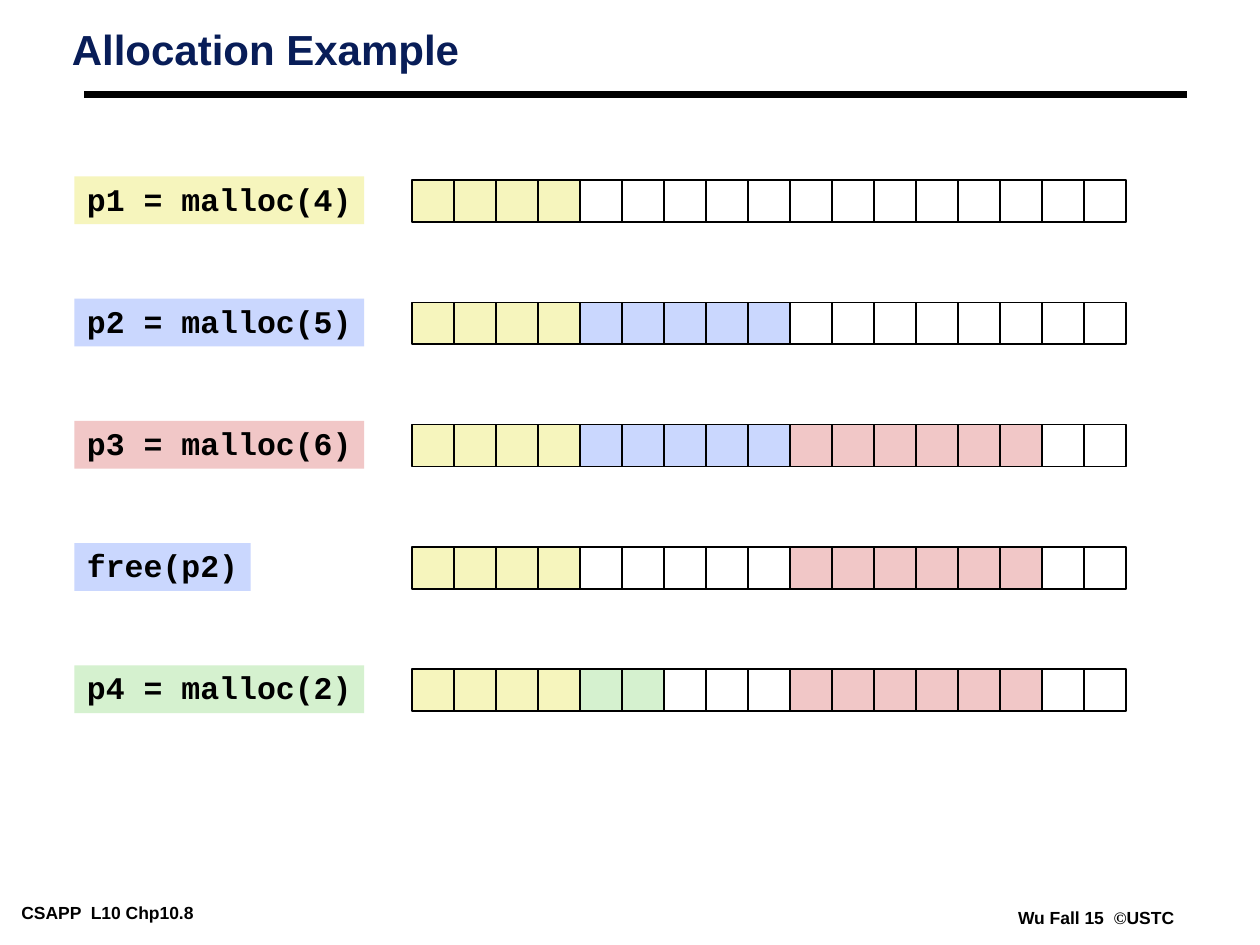
import dataclasses

import pptx
import pptx.dml.color
import pptx.enum.shapes
import pptx.enum.text
import pptx.oxml
import pptx.oxml.ns
import pptx.util

Inches = pptx.util.Inches
Pt = pptx.util.Pt
Align = pptx.enum.text.PP_ALIGN
RECT = pptx.enum.shapes.MSO_SHAPE.RECTANGLE


@dataclasses.dataclass(frozen=True)
class Theme:
    ink: str = "000000"
    navy: str = "081D58"
    free: str = "FFFFFF"
    p1: str = "F6F5BD"
    p2: str = "CAD7FE"
    p3: str = "F1C7C7"
    p4: str = "D5F1CF"
    sans: str = "Arial"
    serif: str = "Times New Roman"
    mono: str = "Courier New"
    head: float = 24
    code: float = 18
    foot: float = 10


THEME = Theme()
CELL = 1 / 3
LEFT, TOP, STEP = 3.27, 1.43, 0.97

# Each call, the colour of its label, and the heap after it as (colour, words).
CALLS = [
    ("p1 = malloc(4)", THEME.p1, [(THEME.p1, 4), (THEME.free, 13)]),
    ("p2 = malloc(5)", THEME.p2,
     [(THEME.p1, 4), (THEME.p2, 5), (THEME.free, 8)]),
    ("p3 = malloc(6)", THEME.p3,
     [(THEME.p1, 4), (THEME.p2, 5), (THEME.p3, 6), (THEME.free, 2)]),
    ("free(p2)", THEME.p2,
     [(THEME.p1, 4), (THEME.free, 5), (THEME.p3, 6), (THEME.free, 2)]),
    ("p4 = malloc(2)", THEME.p4,
     [(THEME.p1, 4), (THEME.p4, 2), (THEME.free, 3), (THEME.p3, 6),
      (THEME.free, 2)]),
]


def rgb(code):
    return pptx.dml.color.RGBColor.from_string(code)


def assign(item, values):
    for name, value in values.items():
        setattr(item, name, value)


def write(shape, runs, size, color, pad, wrap=False, **layout):
    """Fill a shape with one bold paragraph of (text, font) runs."""
    frame = shape.text_frame
    assign(frame, {
        "margin_left": Inches(pad[0]), "margin_right": Inches(pad[0]),
        "margin_top": Inches(pad[1]), "margin_bottom": Inches(pad[1]),
        "vertical_anchor": pptx.enum.text.MSO_ANCHOR.TOP,
        "auto_size": pptx.enum.text.MSO_AUTO_SIZE.SHAPE_TO_FIT_TEXT,
        "word_wrap": wrap,
    })
    para = frame.paragraphs[0]
    assign(para, {"alignment": Align.LEFT, **layout})
    for text, face in runs:
        run = para.add_run()
        run.text = text
        assign(run.font, {"name": face, "size": Pt(size), "bold": True})
        run.font.color.rgb = rgb(color)


def add_rect(shapes, box, fill, edge=None):
    rect = shapes.add_shape(RECT, *map(Inches, box))
    rect.shadow.inherit = False
    rect.fill.solid()
    rect.fill.fore_color.rgb = rgb(fill)
    if edge:
        rect.line.color.rgb = rgb(edge)
        rect.line.width = Pt(1)
    else:
        rect.line.fill.background()
    return rect


def add_title(slide, text):
    title = slide.shapes.title
    assign(title, {"left": Inches(0.5), "top": Inches(0.21),
                   "width": Inches(7.07), "height": Inches(0.63)})
    write(title, [(text, THEME.sans)], THEME.head, THEME.navy, (0.07, 0.03),
          wrap=True, line_spacing=0.87)


def add_rule(slide):
    kind = pptx.enum.shapes.MSO_CONNECTOR.STRAIGHT
    rule = slide.shapes.add_connector(
        kind, *map(Inches, (0.67, 0.75, 9.42, 0.75)))
    rule.line.color.rgb = rgb(THEME.ink)
    rule.line.width = Pt(4.5)
    props = rule._element.spPr
    props.append(pptx.oxml.parse_xml(
        "<a:effectLst %s/>" % pptx.oxml.ns.nsdecls("a")))


def add_foot(slide, box, runs):
    note = slide.shapes.add_textbox(*map(Inches, box))
    write(note, runs, THEME.foot, THEME.ink, (0.07, 0.03))


def add_heap(slide, top, blocks):
    group = slide.shapes.add_group_shape()
    fills = [fill for fill, count in blocks for _ in range(count)]
    for col, fill in enumerate(fills):
        box = (LEFT + col * CELL, top, CELL, CELL)
        add_rect(group.shapes, box, fill, THEME.ink)


def add_label(slide, top, text, fill):
    """Add a code label whose width follows its number of letters."""
    box = (0.59, top, 0.2 + 0.15 * len(text), 0.38)
    label = add_rect(slide.shapes, box, fill)
    write(label, [(text, THEME.mono)], THEME.code, THEME.ink, (0.1, 0.05),
          alignment=Align.CENTER, line_spacing=0.94)


def main():
    deck = pptx.Presentation()
    deck.slide_width, deck.slide_height = Inches(10), Inches(7.5)
    slide = deck.slides.add_slide(deck.slide_layouts[5])
    add_foot(slide, (0.1, 7.13, 2.1, 0.22),
             [("CSAPP  L10 Chp10.8", THEME.sans)])
    add_foot(slide, (8.01, 7.17, 1.38, 0.22),
             [("Wu Fall 15  ", THEME.sans), ("©", THEME.serif),
              ("USTC", THEME.sans)])
    add_rule(slide)
    add_title(slide, "Allocation Example")
    for row, (text, fill, blocks) in enumerate(CALLS):
        top = TOP + row * STEP
        add_heap(slide, top, blocks)
        add_label(slide, top - 0.03, text, fill)
    deck.save("out.pptx")


if __name__ == "__main__":
    main()
